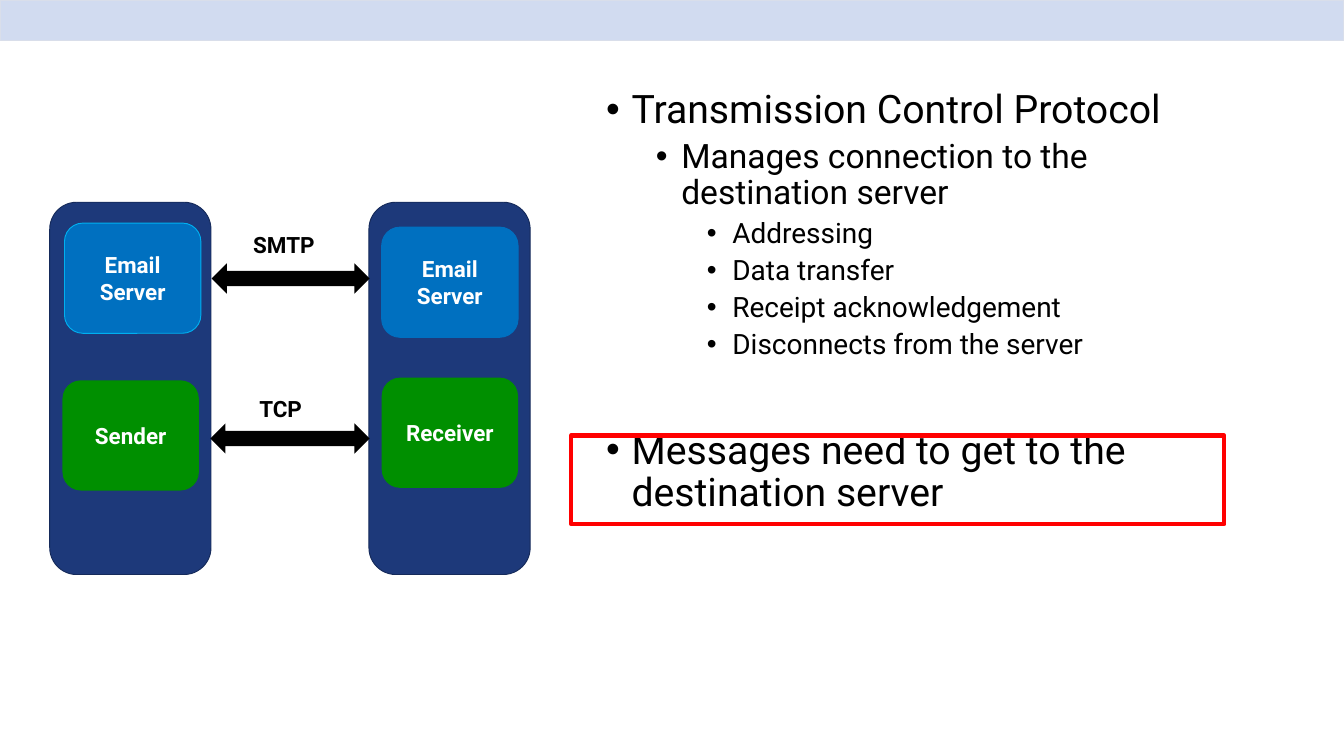
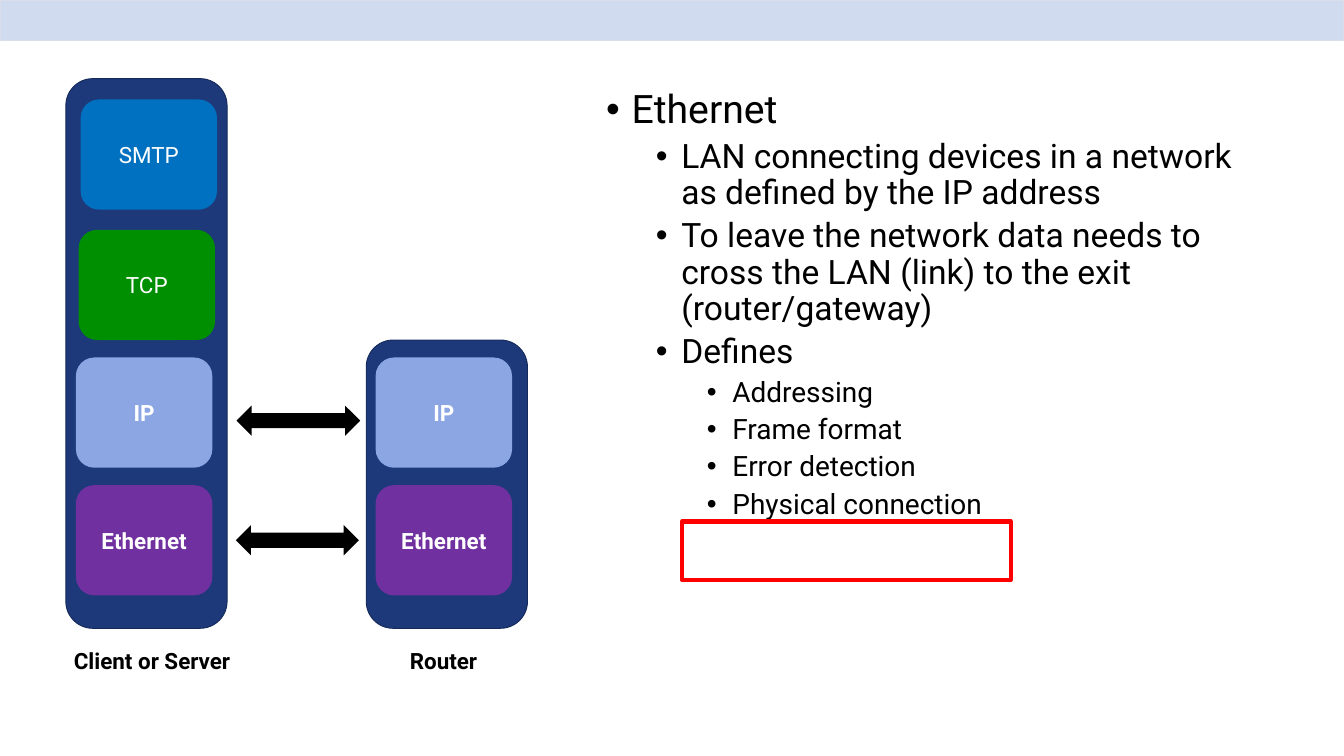
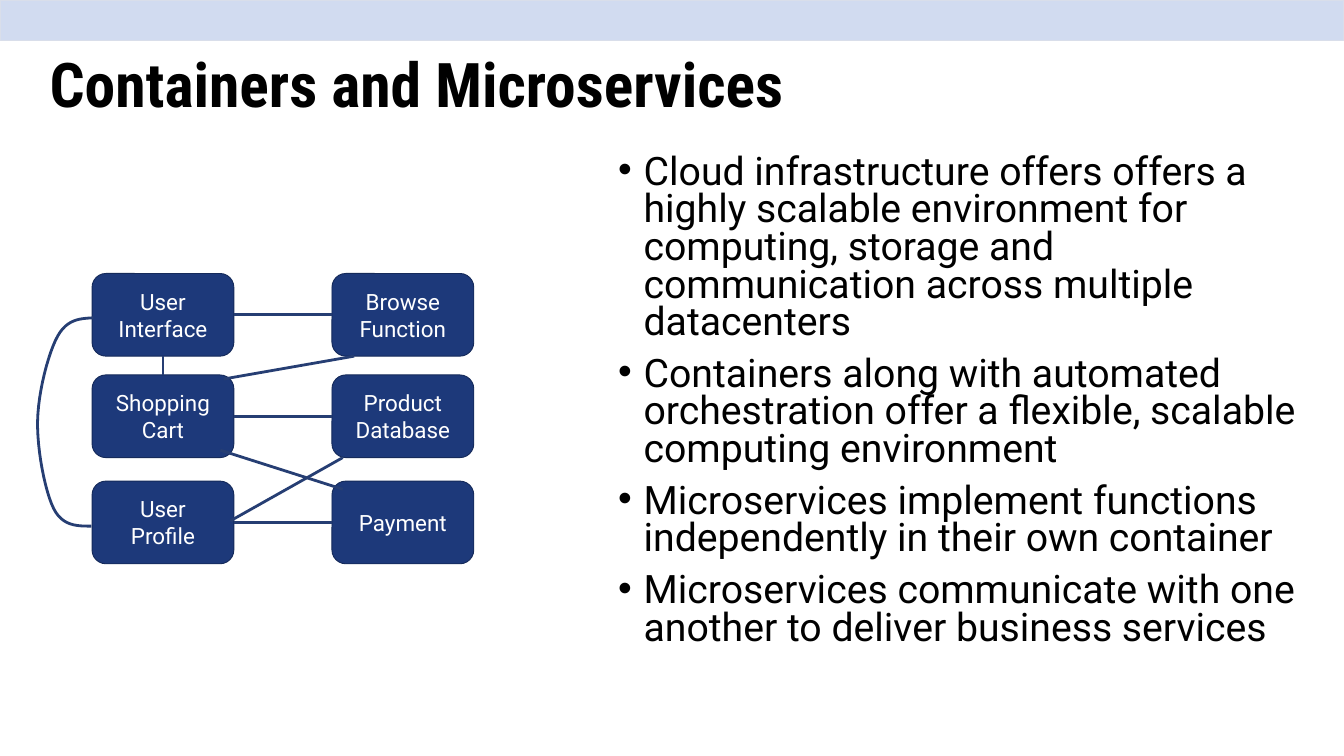
from dataclasses import dataclass
from typing import Any, NamedTuple, Optional

from lxml import etree
from pptx import Presentation
from pptx import slide as sl
from pptx import util as u
from pptx.dml.color import RGBColor
from pptx.enum import shapes, text
from pptx.oxml import ns

WIDTH, HEIGHT = u.Inches(20), u.Inches(11.25)
COL, ROW = WIDTH / 80, HEIGHT / 45

BLACK = RGBColor(0x00, 0x00, 0x00)
WHITE = RGBColor(0xFF, 0xFF, 0xFF)
PALE = RGBColor(0xD1, 0xDB, 0xF0)
PALE_EDGE = RGBColor(0xD9, 0xDE, 0xEA)
NAVY = RGBColor(0x1D, 0x39, 0x7A)
NAVY_EDGE = RGBColor(0x15, 0x2A, 0x5A)
LINK = RGBColor(0x26, 0x3E, 0x73)
BLUE = RGBColor(0x00, 0x70, 0xC0)
CYAN = RGBColor(0x00, 0xB0, 0xF0)
GREEN = RGBColor(0x00, 0x8F, 0x00)
PERIWINKLE = RGBColor(0x8B, 0xA6, 0xE3)
PURPLE = RGBColor(0x70, 0x30, 0xA0)
RED = RGBColor(0xFF, 0x00, 0x00)

SHAPE = shapes.MSO_SHAPE
MIDDLE = {"vertical_anchor": text.MSO_ANCHOR.MIDDLE}
WRAPPED = {"word_wrap": True}
FITTED = {"word_wrap": False, "auto_size": text.MSO_AUTO_SIZE.SHAPE_TO_FIT_TEXT}
CENTRED = {"alignment": text.PP_ALIGN.CENTER}
LABEL_FONT = {"name": "Roboto", "size": u.Pt(24), "bold": True}
PLAIN_FONT = {**LABEL_FONT, "bold": False}
TITLE_FONT = {"name": "Roboto Condensed", "size": u.Pt(66), "bold": True}
LEVEL_SIZES = (42, 36, 30)
LEVEL_SPACING = (15, 7.5, 7.5)
LEVEL_INDENTS = (0.38, 1.12, 1.88)
TOP, LEFT, BOTTOM, RIGHT = range(4)


class Area(NamedTuple):
    col: float
    row: float
    cols: float
    rows: float

    def emu(self) -> tuple[int, int, int, int]:
        return (round(self.col * COL), round(self.row * ROW),
                round(self.cols * COL), round(self.rows * ROW))


class Point(NamedTuple):
    col: float
    row: float

    def emu(self) -> tuple[int, int]:
        return round(self.col * COL), round(self.row * ROW)


class Bullet(NamedTuple):
    text: str
    level: int = 0
    before: Optional[float] = None


class Label(NamedTuple):
    text: str
    area: Area


@dataclass
class Block:
    text: str
    col: float
    row: float
    fill: RGBColor
    edge: Optional[RGBColor] = None
    bold: bool = True
    cols: float = 8.12
    rows: float = 6.56


@dataclass
class Stack:
    bullets: list[Bullet]
    frame: Area
    cabinets: list[Area]
    blocks: list[Block]
    arrows: list[Area]
    labels: list[Label]


BAND = Area(0, 0, 80, 2.4)
STACK_TEXT = Area(35.68, 5.16, 39.4, 37.88)

STACKS = [
    Stack(
        bullets=[
            Bullet("Transmission Control Protocol"),
            Bullet("Manages connection to the destination server", 1),
            Bullet("Addressing", 2),
            Bullet("Data transfer", 2),
            Bullet("Receipt acknowledgement", 2),
            Bullet("Disconnects from the server", 2),
            Bullet("Messages need to get to the destination server", before=74.3),
        ],
        frame=Area(34, 25.92, 38.88, 5.28),
        cabinets=[Area(col, 12.04, 9.6, 22.16) for col in (2.96, 21.96)],
        blocks=[
            Block("Email\nServer", 3.84, 13.28, BLUE, CYAN),
            Block("Email\nServer", 22.72, 13.52, BLUE, BLUE),
            Block("Sender", 3.72, 22.64, GREEN),
            Block("Receiver", 22.72, 22.48, GREEN),
        ],
        arrows=[Area(12.6, 15.68, 9.4, 1.8), Area(12.52, 25.2, 9.48, 1.8)],
        labels=[
            Label("SMTP", Area(14.68, 13.56, 4.64, 2)),
            Label("TCP", Area(15.04, 23.32, 3.52, 2)),
        ],
    ),
    Stack(
        bullets=[
            Bullet("Ethernet"),
            Bullet("LAN connecting devices in a network as defined by the IP address", 1),
            Bullet("To leave the network data needs to cross the LAN (link) "
                   "to the exit (router/gateway)", 1),
            Bullet("Defines", 1),
            Bullet("Addressing", 2),
            Bullet("Frame format", 2),
            Bullet("Error detection", 2),
            Bullet("Physical connection", 2),
        ],
        frame=Area(40.6, 31.04, 19.56, 3.48),
        cabinets=[Area(3.92, 4.68, 9.6, 32.72), Area(21.8, 20.24, 9.6, 17.16)],
        blocks=[
            Block("SMTP", 4.8, 5.92, BLUE, bold=False),
            Block("TCP", 4.68, 13.68, GREEN, bold=False),
            *(Block(name, col, row, fill)
              for col in (4.52, 22.36)
              for name, row, fill in (("IP", 21.28, PERIWINKLE),
                                      ("Ethernet", 28.88, PURPLE))),
        ],
        arrows=[Area(14.08, 24.14, 7.36, 1.8), Area(14.04, 31.26, 7.32, 1.8)],
        labels=[
            Label("Client or Server", Area(4, 38.32, 10.8, 2)),
            Label("Router", Area(24, 38.32, 5.16, 2)),
        ],
    ),
]

SERVICE_TITLE = Label("Containers and Microservices", Area(2.56, 0.88, 69, 8.68))
SERVICE_TEXT = Area(36.4, 9.04, 42.12, 34.28)
SERVICE_BULLETS = [
    Bullet("Cloud infrastructure offers offers a highly scalable environment for "
           "computing, storage and communication across multiple datacenters"),
    Bullet("Containers along with automated orchestration offer a flexible, "
           "scalable computing environment"),
    Bullet("Microservices implement functions independently in their own container"),
    Bullet("Microservices communicate with one another to deliver business services"),
]
SERVICE_COLS = (5.48, 19.76)
SERVICE_ROWS = (16.28, 22.32, 28.64)
SERVICES = [
    ("User\nInterface", "Browse\nFunction"),
    ("Shopping\nCart", "Product\nDatabase"),
    ("User\nProfile", "Payment"),
]
CROSS_LINKS = [
    (Point(13.32, 22.56), Point(21.08, 21.2)),
    (Point(13.72, 31), Point(20.4, 27.24)),
    (Point(13.12, 26.8), Point(20.4, 29.12)),
]
LOOP_START = Point(5.56, 18.92)
LOOP_CURVES = [
    (Point(4.76, 18.96), Point(4, 19), Point(3.44, 20)),
    (Point(2.88, 21), Point(2.28, 23.32), Point(2.24, 25.04)),
    (Point(2.2, 26.76), Point(2.68, 29.24), Point(3.2, 30.28)),
    (Point(3.72, 31.32), Point(4.6, 31.32), Point(5.44, 31.32)),
]


def apply(target: Any, values: dict[str, Any]) -> None:
    for name, value in values.items():
        setattr(target, name, value)


def add_run(p: Any, words: str, font: dict[str, Any], color: RGBColor) -> None:
    r = p.add_run()
    r.text = words
    apply(r.font, font)
    r.font.color.rgb = color


def add_lines(tf: Any, words: str, font: dict[str, Any], color: RGBColor,
              layout: dict[str, Any]) -> None:
    for i, line in enumerate(words.split("\n")):
        p = tf.add_paragraph() if i else tf.paragraphs[0]
        apply(p, layout)
        add_run(p, line, font, color)


def style_shape(sp: Any, fill: Optional[RGBColor], edge: Optional[RGBColor],
                width: float) -> None:
    sp.shadow.inherit = False
    if fill is None:
        sp.fill.background()
    else:
        sp.fill.solid()
        sp.fill.fore_color.rgb = fill
    if edge is None:
        sp.line.fill.background()
    else:
        sp.line.color.rgb = edge
        sp.line.width = u.Pt(width)


def add_figure(s: sl.Slide, kind: Any, area: Area, fill: Optional[RGBColor] = None,
               edge: Optional[RGBColor] = None, width: float = 1) -> Any:
    sp = s.shapes.add_shape(kind, *area.emu())
    style_shape(sp, fill, edge, width)
    return sp


def add_block(s: sl.Slide, block: Block) -> Any:
    area = Area(block.col, block.row, block.cols, block.rows)
    sp = add_figure(s, SHAPE.ROUNDED_RECTANGLE, area, block.fill, block.edge)
    apply(sp.text_frame, {**WRAPPED, **MIDDLE})
    font = LABEL_FONT if block.bold else PLAIN_FONT
    add_lines(sp.text_frame, block.text, font, WHITE, CENTRED)
    return sp


def add_label(s: sl.Slide, label: Label, font: dict[str, Any],
              frame: dict[str, Any], layout: dict[str, Any]) -> None:
    tf = s.shapes.add_textbox(*label.area.emu()).text_frame
    apply(tf, frame)
    add_lines(tf, label.text, font, BLACK, layout)


def add_bullets(s: sl.Slide, area: Area, bullets: list[Bullet], spacing: float) -> None:
    tf = s.shapes.add_textbox(*area.emu()).text_frame
    apply(tf, WRAPPED)
    for i, bullet in enumerate(bullets):
        p = tf.add_paragraph() if i else tf.paragraphs[0]
        props = p._p.get_or_add_pPr()
        props.set("marL", str(u.Inches(LEVEL_INDENTS[bullet.level])))
        props.set("indent", str(-u.Inches(LEVEL_INDENTS[0])))
        etree.SubElement(props, ns.qn("a:buFont"), typeface="Arial")
        etree.SubElement(props, ns.qn("a:buChar"), char="•")
        before = bullet.before or LEVEL_SPACING[bullet.level]
        apply(p, {"level": bullet.level, "line_spacing": spacing,
                  "space_before": u.Pt(before if i else 0)})
        font = {"name": "Roboto", "size": u.Pt(LEVEL_SIZES[bullet.level])}
        add_run(p, bullet.text, font, BLACK)


def add_link(s: sl.Slide, start: Point, end: Point) -> Any:
    link = s.shapes.add_connector(shapes.MSO_CONNECTOR.STRAIGHT,
                                  *start.emu(), *end.emu())
    link.line.color.rgb = LINK
    link.line.width = u.Pt(3)
    etree.SubElement(link._element.spPr, ns.qn("a:effectLst"))
    return link


def join(s: sl.Slide, first: Any, first_side: int, second: Any, second_side: int) -> None:
    link = add_link(s, Point(0, 0), Point(0, 0))
    link.begin_connect(first, first_side)
    link.end_connect(second, second_side)


def curve_points(start: Point, curves: list[tuple[Point, Point, Point]],
                 steps: int = 12) -> list[tuple[int, int]]:
    points = []
    for a, b, end in curves:
        for step in range(1, steps + 1):
            t = step / steps
            weights = ((1 - t) ** 3, 3 * t * (1 - t) ** 2, 3 * t ** 2 * (1 - t), t ** 3)
            corners = (start, a, b, end)
            points.append(Point(sum(w * c.col for w, c in zip(weights, corners)),
                                sum(w * c.row for w, c in zip(weights, corners))).emu())
        start = end
    return points


def add_loop(s: sl.Slide) -> None:
    builder = s.shapes.build_freeform(*LOOP_START.emu())
    builder.add_line_segments(curve_points(LOOP_START, LOOP_CURVES), close=False)
    style_shape(builder.convert_to_shape(), None, LINK, 3)


def new_slide(prs: Any) -> sl.Slide:
    s = prs.slides.add_slide(prs.slide_layouts[6])
    add_figure(s, SHAPE.RECTANGLE, BAND, PALE, PALE_EDGE)
    return s


def draw_stack(prs: Any, stack: Stack) -> None:
    s = new_slide(prs)
    add_bullets(s, STACK_TEXT, stack.bullets, 0.9)
    add_figure(s, SHAPE.RECTANGLE, stack.frame, edge=RED, width=4.5)
    for cabinet in stack.cabinets:
        add_figure(s, SHAPE.ROUNDED_RECTANGLE, cabinet, NAVY, NAVY_EDGE)
    for block in stack.blocks:
        add_block(s, block)
    for arrow in stack.arrows:
        add_figure(s, SHAPE.LEFT_RIGHT_ARROW, arrow, BLACK)
    for label in stack.labels:
        add_label(s, label, LABEL_FONT, FITTED, {})


def draw_services(prs: Any) -> None:
    s = new_slide(prs)
    add_label(s, SERVICE_TITLE, TITLE_FONT, {**WRAPPED, **MIDDLE}, {"line_spacing": 0.9})
    add_bullets(s, SERVICE_TEXT, SERVICE_BULLETS, 0.8)
    grid = [[add_block(s, Block(name, col, row, NAVY, NAVY_EDGE, False, 8.44, 4.92))
             for name, col in zip(names, SERVICE_COLS)]
            for names, row in zip(SERVICES, SERVICE_ROWS)]
    for left, right in grid:
        join(s, left, RIGHT, right, LEFT)
    join(s, grid[0][0], BOTTOM, grid[1][0], TOP)
    for start, end in CROSS_LINKS:
        add_link(s, start, end)
    add_loop(s)


def main() -> None:
    prs = Presentation()
    apply(prs, {"slide_width": WIDTH, "slide_height": HEIGHT})
    for stack in STACKS:
        draw_stack(prs, stack)
    draw_services(prs)
    prs.save("out.pptx")


if __name__ == "__main__":
    main()
